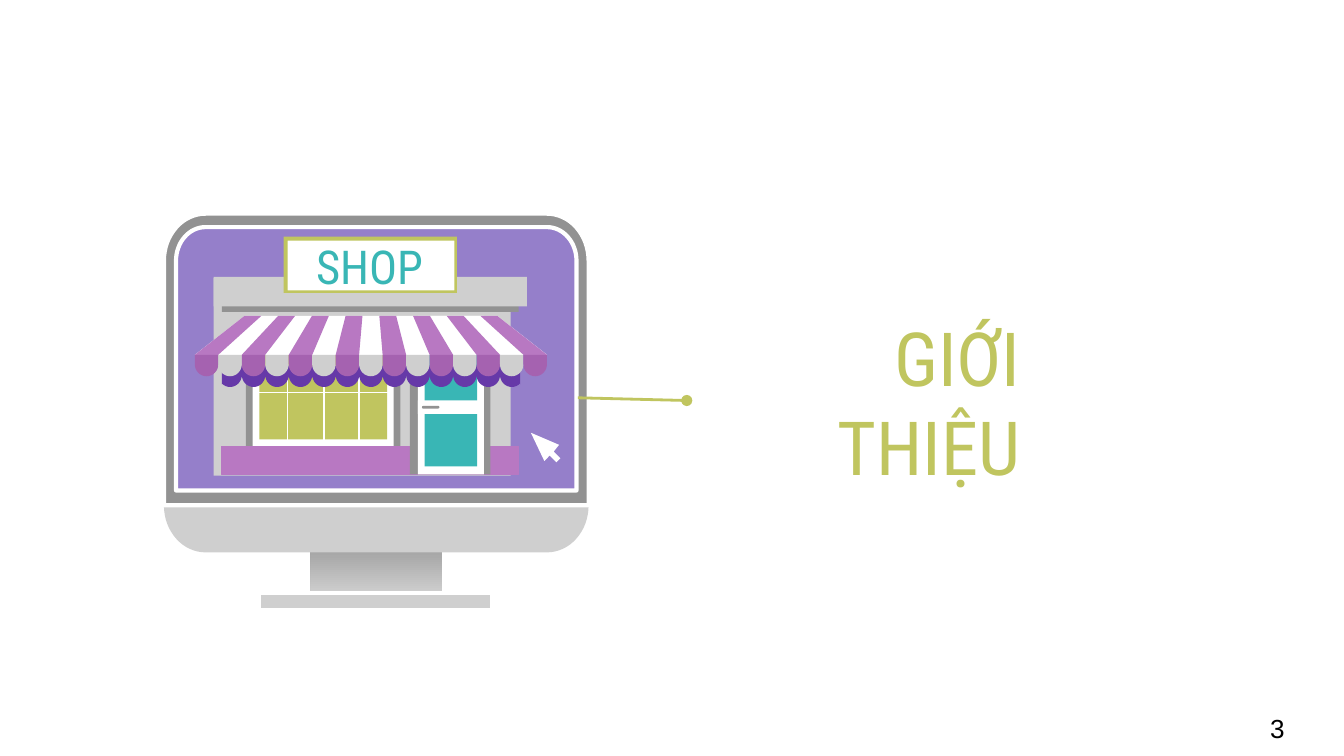
from dataclasses import dataclass
from math import cos, pi, sin
from typing import Optional

from lxml import etree
from pptx import Presentation
from pptx.dml.color import RGBColor
from pptx.enum import shapes, text
from pptx.oxml.ns import qn
from pptx.util import Inches, Pt

WHITE = RGBColor(0xFF, 0xFF, 0xFF)
BLACK = RGBColor(0, 0, 0)
SILVER = RGBColor(0xCF, 0xCF, 0xCF)
PALE_GRAY = RGBColor(0xDD, 0xDD, 0xDD)
GRAY = RGBColor(0x92, 0x92, 0x92)
LAVENDER = RGBColor(0x95, 0x7F, 0xCA)
ORCHID = RGBColor(0xB8, 0x78, 0xC2)
PLUM = RGBColor(0xA5, 0x62, 0xB0)
VIOLET = RGBColor(0x66, 0x39, 0xA8)
OLIVE = RGBColor(0xC0, 0xC5, 0x5F)
TEAL = RGBColor(0x39, 0xB6, 0xB5)

Points = list[tuple[float, float]]
SLIDE_WIDTH = Inches(10)
SLIDE_HEIGHT = SLIDE_WIDTH * 9 // 16
ARC_STEPS = 16
STRIPES = 15
AWNING_LEFT, AWNING_TOP, AWNING_EDGE = 1.45, 2.35, 2.64
ROOF_LEFT, ROOF_WIDTH = 1.82, 1.88
STRIPE_WIDTH = 2.62 / STRIPES


@dataclass(frozen=True)
class Box:
    left: float
    top: float
    width: float
    height: float
    fill: RGBColor
    line: Optional[RGBColor] = None
    line_width: float = 0.75
    preset: shapes.MSO_SHAPE = shapes.MSO_SHAPE.RECTANGLE


WALL_AND_WINDOW = [
    Box(1.59, 2.07, 2.21, 1.47, SILVER),
    Box(1.83, 2.48, 1.15, 0.89, GRAY),
    Box(1.88, 2.53, 1.05, 0.79, WHITE),
    Box(1.93, 2.58, 0.95, 0.69, OLIVE),
]
BASE_AND_DOOR = [
    Box(1.65, 3.32, 2.21, 0.21, ORCHID, ORCHID),
    Box(3.05, 2.37, 0.6, 1.16, GRAY),
    Box(3.11, 2.35, 0.49, 1.18, WHITE),
    Box(3.16, 2.4, 0.39, 1.07, TEAL),
]
HANDLE_AND_SIGN = [
    Box(3.11, 2.98, 0.49, 0.1, WHITE),
    Box(3.14, 3.02, 0.13, 0.02, GRAY, preset=shapes.MSO_SHAPE.ROUNDED_RECTANGLE),
    Box(1.65, 2.14, 2.21, 0.18, GRAY),
    Box(1.59, 2.06, 2.33, 0.22, SILVER),
    Box(2.13, 1.78, 1.26, 0.39, WHITE),
]


def style(shape, fill: RGBColor, line: Optional[RGBColor] = None, line_width: float = 0.75):
    shape.shadow.inherit = False
    shape.fill.solid()
    shape.fill.fore_color.rgb = fill
    if line is None:
        shape.line.fill.background()
    else:
        shape.line.color.rgb = line
        shape.line.width = Pt(line_width)


def draw_box(slide, box: Box):
    shape = slide.shapes.add_shape(box.preset, Inches(box.left), Inches(box.top),
                                   Inches(box.width), Inches(box.height))
    if box.preset == shapes.MSO_SHAPE.ROUNDED_RECTANGLE:
        shape.adjustments[0] = 0.5
    style(shape, box.fill, box.line, box.line_width)
    return shape


def draw_outline(slide, contours: list[Points], fill: RGBColor, **line_format):
    """Draw one freeform; a second contour cuts a hole."""
    scaled = [[(Inches(x), Inches(y)) for x, y in contour] for contour in contours]
    builder = slide.shapes.build_freeform(*scaled[0][0], scale=1.0)
    for index, contour in enumerate(scaled):
        if index:
            builder.move_to(*contour[0])
        builder.add_line_segments(contour[1:], close=True)
    style(builder.convert_to_shape(), fill, **line_format)


def draw_line(slide, start: tuple[float, float], end: tuple[float, float],
              color: RGBColor, width: float, tail: Optional[str] = None):
    connector = slide.shapes.add_connector(shapes.MSO_CONNECTOR.STRAIGHT,
                                           *map(Inches, start), *map(Inches, end))
    connector.line.color.rgb = color
    connector.line.width = Pt(width)
    properties = connector._element.spPr
    if tail:
        etree.SubElement(properties.find(qn("a:ln")), qn("a:tailEnd"), type=tail)
    etree.SubElement(properties, qn("a:effectLst"))


def arc(center_x: float, center_y: float, radius_x: float, radius_y: float,
        start: float, end: float) -> Points:
    """Points on an ellipse; angles in half turns, clockwise from the right."""
    angles = [pi * (start + (end - start) * step / ARC_STEPS) for step in range(ARC_STEPS + 1)]
    return [(center_x + radius_x * cos(a), center_y + radius_y * sin(a)) for a in angles]


def rectangle(left: float, top: float, right: float, bottom: float) -> Points:
    return [(left, top), (right, top), (right, bottom), (left, bottom)]


def rounded_top(left: float, top: float, right: float, bottom: float,
                radius_x: float, radius_y: float) -> Points:
    return (arc(left + radius_x, top + radius_y, radius_x, radius_y, 1, 1.5)
            + arc(right - radius_x, top + radius_y, radius_x, radius_y, 1.5, 2)
            + [(right, bottom), (left, bottom)])


def add_text(slide, content: str, left: float, top: float, width: float, height: float, *,
             size: float, color: RGBColor, font: str = "Roboto Condensed",
             align=text.PP_ALIGN.CENTER, anchor=text.MSO_ANCHOR.MIDDLE, margin_y: float = 0.1):
    frame = slide.shapes.add_textbox(Inches(left), Inches(top),
                                     Inches(width), Inches(height)).text_frame
    frame.word_wrap = True
    frame.vertical_anchor = anchor
    frame.margin_left = frame.margin_right = Inches(0.1)
    frame.margin_top = frame.margin_bottom = Inches(margin_y)
    paragraph = frame.paragraphs[0]
    paragraph.alignment = align
    run = paragraph.add_run()
    run.text = content
    run.font.name = font
    run.font.size = Pt(size)
    run.font.color.rgb = color


def draw_monitor(slide):
    stand = draw_box(slide, Box(2.31, 3.95, 0.98, 0.58, GRAY))
    stand.fill.gradient()
    stand.fill.gradient_angle = 270
    for stop, color in zip(stand.fill.gradient_stops, (GRAY, PALE_GRAY)):
        stop.color.rgb = color
    draw_box(slide, Box(1.93, 4.41, 1.73, 0.13, SILVER, WHITE, 2.25))

    screen = rounded_top(1.22, 1.59, 4.38, 3.76, 0.31, 0.35)
    chin = arc(4.07, 3.76, 0.31, 0.35, 0, 0.5) + arc(1.53, 3.76, 0.31, 0.35, 0.5, 1)
    draw_outline(slide, [screen[:-2] + chin], SILVER)
    draw_outline(slide, [screen], LAVENDER)
    opening = rounded_top(1.31, 1.69, 4.29, 3.65, 0.22, 0.25)
    draw_outline(slide, [opening[::-1], screen], GRAY, line=WHITE, line_width=2.25)


def scallop(index: int, top: float) -> Points:
    """Half ellipse under one stripe, from left to right."""
    radius = STRIPE_WIDTH / 2
    return arc(AWNING_LEFT + (index + 0.5) * STRIPE_WIDTH, top, radius, 0.09, 1, 0)


def draw_valance(slide):
    left, right = 1.65, 3.87
    hem = [point for index in range(STRIPES) for point in scallop(index, 2.79)
           if left <= point[0] <= right]
    draw_outline(slide, [[(left, 2.72), (left, 2.86), *hem, (right, 2.86), (right, 2.72)]], VIOLET)


def draw_awning(slide):
    def band(first: int, last: int) -> Points:
        roof = [ROOF_LEFT + ROOF_WIDTH * i / STRIPES for i in (first, last)]
        edge = [AWNING_LEFT + STRIPE_WIDTH * i for i in (first, last)]
        return [(roof[0], AWNING_TOP), (edge[0], AWNING_EDGE),
                (edge[1], AWNING_EDGE), (roof[1], AWNING_TOP)]

    draw_outline(slide, [band(0, STRIPES)], WHITE)
    for index in range(0, STRIPES, 2):
        draw_outline(slide, [band(index, index + 1)], ORCHID)
    for index in range(STRIPES):
        hem = scallop(index, 2.71)
        flap = [(hem[0][0], AWNING_EDGE), *hem, (hem[-1][0], AWNING_EDGE)]
        draw_outline(slide, [flap], SILVER if index % 2 else PLUM)


def draw_shop(slide):
    for box in WALL_AND_WINDOW:
        draw_box(slide, box)
    draw_line(slide, (2.91, 2.92), (1.9, 2.92), WHITE, 0.85)
    for x in (2.14, 2.41, 2.67):
        draw_line(slide, (x, 3.3), (x, 2.5), WHITE, 0.85)
    for box in BASE_AND_DOOR:
        draw_box(slide, box)
    draw_valance(slide)
    for box in HANDLE_AND_SIGN:
        draw_box(slide, box)
    sign_opening = rectangle(2.14, 1.79, 3.38, 2.16)
    draw_outline(slide, [sign_opening[::-1], rectangle(2.11, 1.76, 3.4, 2.18)], OLIVE)
    draw_awning(slide)
    pointer = [(3.95, 3.22), (4.05, 3.43), (4.09, 3.39), (4.14, 3.44),
               (4.17, 3.41), (4.12, 3.36), (4.16, 3.31)]
    draw_outline(slide, [pointer], WHITE)


def main():
    presentation = Presentation()
    presentation.slide_width, presentation.slide_height = SLIDE_WIDTH, SLIDE_HEIGHT
    slide = presentation.slides.add_slide(presentation.slide_layouts[6])
    draw_monitor(slide)
    draw_shop(slide)
    add_text(slide, "SHOP", 2.11, 1.78, 1.29, 0.39, size=25, color=TEAL)
    draw_line(slide, (4.3, 2.96), (5.11, 2.98), OLIVE, 1.5, tail="oval")
    add_text(slide, "GIỚI THIỆU", 5.11, 2.75, 2.58, 0.47, size=40, color=OLIVE,
             align=text.PP_ALIGN.RIGHT)
    add_text(slide, "3", 9.11, 5.25, 0.79, 0.34, size=14, color=BLACK, font="Arial",
             anchor=text.MSO_ANCHOR.TOP, margin_y=0.05)
    presentation.save("out.pptx")


if __name__ == "__main__":
    main()
